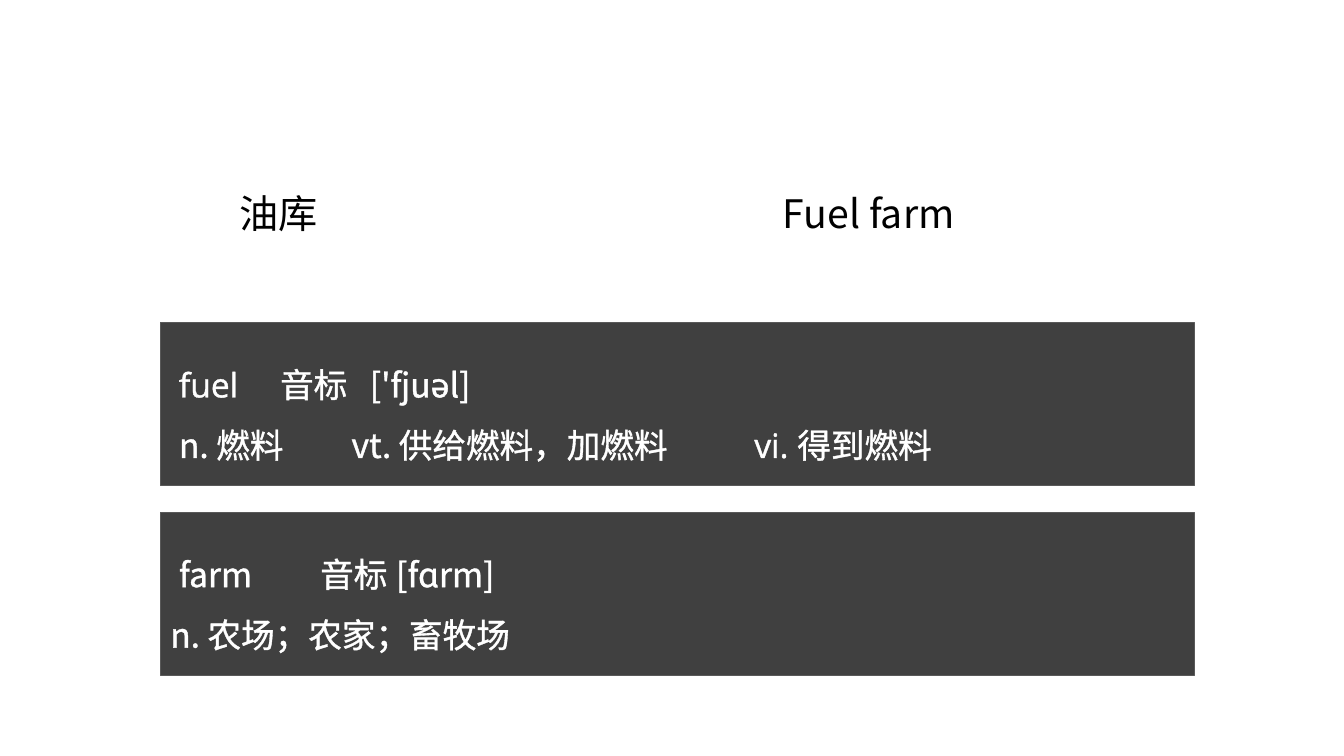
"""Build a vocabulary slide that explains the term "fuel farm"."""
from dataclasses import dataclass

import pptx
import pptx.dml.color
import pptx.enum.shapes
import pptx.enum.text
import pptx.oxml
import pptx.oxml.ns
import pptx.util
from pptx.util import Cm, Pt

LATIN, CHINESE = "Noto Sans CJK TC", "Open Sans"

TERMS = [
    ("油库", CHINESE, 5.77, 11.5),
    ("Fuel farm", LATIN, 19.48, 10.46),
]
CARDS = [
    [
        ([(" fuel\t音标\t", CHINESE), ("['fjuəl]", LATIN)], [2.77, 5.03]),
        ([(" ", CHINESE), ("n. ", LATIN), ("燃料\t", CHINESE), ("vt. ", LATIN),
          ("供给燃料，加燃料\tvi. 得到燃料", CHINESE)], [4.57, 14.72]),
    ],
    [
        ([(" ", CHINESE), ("farm\t", LATIN), ("音标 ", CHINESE),
          ("[fɑrm]", LATIN)], [3.78]),
        ([("n. ", LATIN), ("农场；农家；畜牧场", CHINESE)], []),
    ],
]
TERM_TOP, TERM_HEIGHT = 4.65, 1.45
CARD_LEFT, CARD_TOP, CARD_WIDTH, CARD_HEIGHT, CARD_STEP = 4.04, 8.13, 26.06, 4.11, 4.78


@dataclass(frozen=True)
class Theme:
    ink: str = "000000"
    paper: str = "FFFFFF"
    card: str = "404040"
    edge: str = "595959"
    term_size: float = 28
    card_size: float = 24
    outline: float = 0.75


THEME = Theme()


def colour(value):
    return pptx.dml.color.RGBColor.from_string(value)


def element(tag, **attributes):
    node = pptx.oxml.parse_xml(f"<a:{tag} {pptx.oxml.ns.nsdecls('a')}/>")
    for name, value in attributes.items():
        node.set(name, str(value))
    return node


def set_typeface(font, name):
    font.name = name
    font._element.find(pptx.oxml.ns.qn("a:latin")).addnext(element("ea", typeface=name))


def outline_text(span):
    line = element("ln", w=Pt(THEME.outline))
    fill = element("solidFill")
    fill.append(element("srgbClr", val=THEME.paper))
    line.append(fill)
    span.font._element.insert(0, line)


def add_tabs(para, stops):
    tabs = element("tabLst")
    for stop in stops:
        tabs.append(element("tab", pos=Cm(stop), algn="l"))
    para._p.get_or_add_pPr().append(tabs)


def write_term(box, text, typeface, left, width):
    box.left, box.top = Cm(left), Cm(TERM_TOP)
    box.width, box.height = Cm(width), Cm(TERM_HEIGHT)
    frame = box.text_frame
    frame.text = text
    frame.word_wrap = True
    frame.auto_size = pptx.enum.text.MSO_AUTO_SIZE.SHAPE_TO_FIT_TEXT
    frame.vertical_anchor = pptx.enum.text.MSO_ANCHOR.TOP
    para = frame.paragraphs[0]
    para.alignment = pptx.enum.text.PP_ALIGN.LEFT
    para.line_spacing = 1.0
    para.font.size = Pt(THEME.term_size)
    para.font.color.rgb = colour(THEME.ink)
    set_typeface(para.font, typeface)


def add_card(page, lines, top):
    card = page.shapes.add_shape(
        pptx.enum.shapes.MSO_SHAPE.RECTANGLE,
        Cm(CARD_LEFT), Cm(top), Cm(CARD_WIDTH), Cm(CARD_HEIGHT))
    card.shadow.inherit = False
    card.fill.solid()
    card.fill.fore_color.rgb = colour(THEME.card)
    card.line.color.rgb = colour(THEME.edge)
    card.line.width = Pt(1)
    frame = card.text_frame
    frame.word_wrap = True
    frame.vertical_anchor = pptx.enum.text.MSO_ANCHOR.MIDDLE
    for index, (spans, stops) in enumerate(lines):
        para = frame.add_paragraph() if index else frame.paragraphs[0]
        para.alignment = pptx.enum.text.PP_ALIGN.LEFT
        para.line_spacing = 1.5
        if stops:
            add_tabs(para, stops)
        para.font.size = Pt(THEME.card_size)
        para.font.color.rgb = colour(THEME.paper)
        for text, typeface in spans:
            span = para.add_run()
            span.text = text
            set_typeface(span.font, typeface)
            outline_text(span)


def main():
    deck = pptx.Presentation()
    deck.slide_width, deck.slide_height = Cm(33.87), Cm(19.05)
    page = deck.slides.add_slide(deck.slide_layouts.get_by_name("Title Only"))
    page.background.fill.solid()
    page.background.fill.fore_color.rgb = colour(THEME.paper)
    boxes = [page.shapes.title, page.shapes.add_textbox(0, 0, 0, 0)]
    for box, term in zip(boxes, TERMS):
        write_term(box, *term)
    for index, lines in enumerate(CARDS):
        add_card(page, lines, CARD_TOP + index * CARD_STEP)
    deck.save("out.pptx")


if __name__ == "__main__":
    main()
